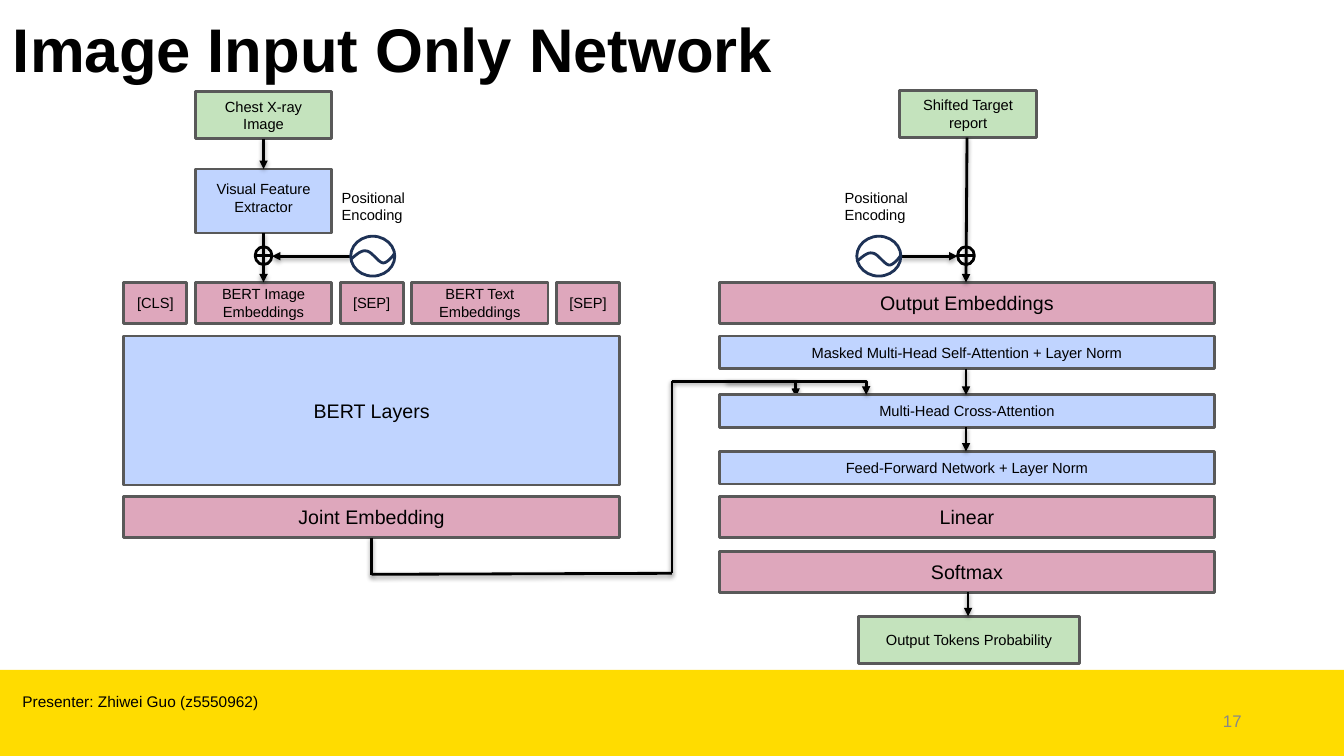
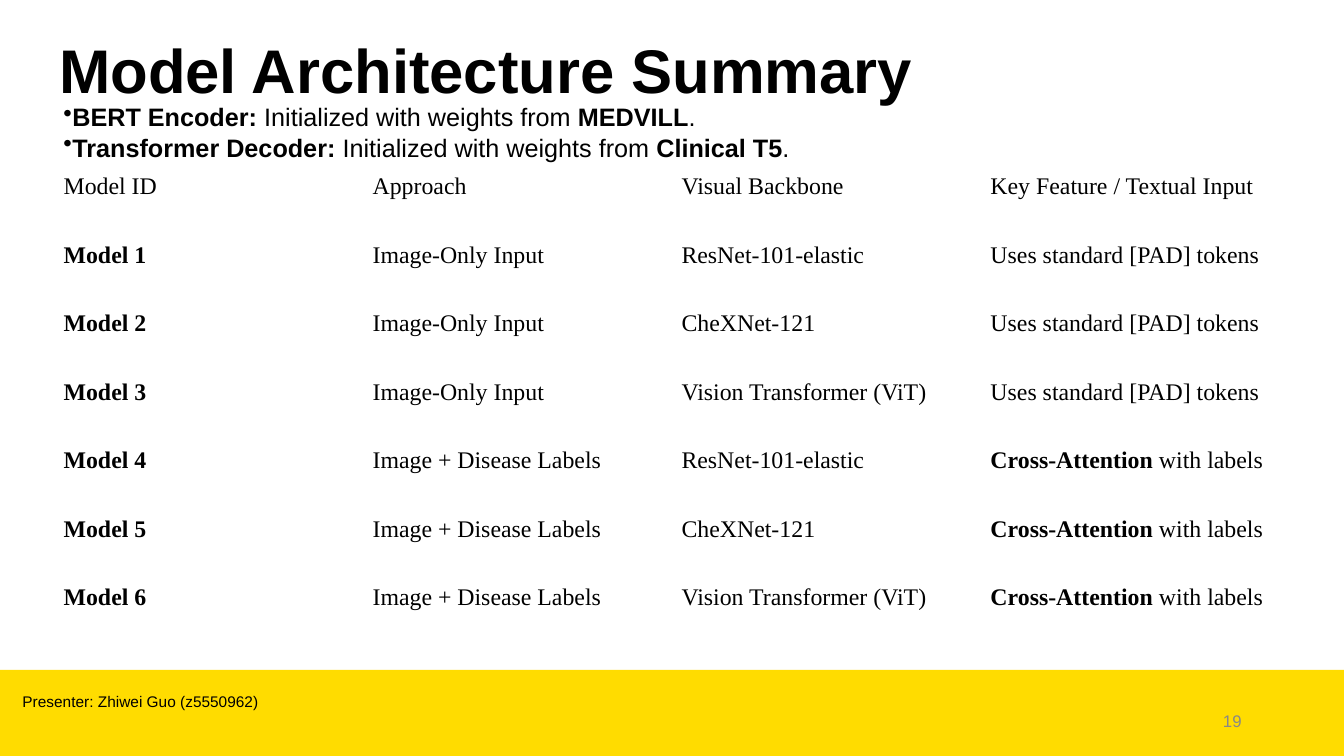
"""Two slides on a report-generation network: its diagram and a model summary table."""
from lxml.etree import SubElement
from pptx import Presentation
from pptx.dml.color import RGBColor
from pptx.enum.shapes import MSO_CONNECTOR as LINK, MSO_SHAPE as SHAPE
from pptx.enum.text import MSO_ANCHOR as ANCHOR, PP_ALIGN as ALIGN
from pptx.oxml.ns import qn
from pptx.util import Inches, Pt

BLACK = RGBColor(0x00, 0x00, 0x00)
GRAY = RGBColor(0x88, 0x88, 0x88)
BORDER = RGBColor(0x59, 0x59, 0x59)
YELLOW = RGBColor(0xFF, 0xDC, 0x00)
GREEN = RGBColor(0xC4, 0xE3, 0xBD)
BLUE = RGBColor(0xC0, 0xD4, 0xFF)
PINK = RGBColor(0xDD, 0xA3, 0xB9)
NAVY = RGBColor(0x1E, 0x32, 0x56)
SMALL, LARGE, TITLE = 10.5, 14, 44

prs = Presentation()
prs.slide_width, prs.slide_height = Inches(13.333), Inches(7.5)
COL, ROW = prs.slide_width / 1280, prs.slide_height / 720


def write(tf, lines, size, align=ALIGN.LEFT, color=BLACK, font="Arial", bullet=None):
    """Fill a text frame; parts between double asterisks are bold."""
    tf.word_wrap = True
    for i, line in enumerate(lines):
        p = tf.add_paragraph() if i else tf.paragraphs[0]
        p.alignment = align
        if bullet:
            p.line_spacing = Pt(22)
            SubElement(p._p.get_or_add_pPr(), qn("a:buChar"), char=bullet)
        p.font.size, p.font.name = Pt(size), font
        p.font.color.rgb = color
        for k, part in enumerate(line.split("**")):
            if part:
                r = p.add_run()
                r.text = part
                if k % 2:
                    r.font.bold = True


def box(slide, x, y, w, h, text="", size=SMALL, fill=None, border=BORDER, **style):
    """Add a filled rectangle, or a plain text box when there is no fill."""
    at = [round(v) for v in (x * COL, y * ROW, w * COL, h * ROW)]
    if fill is None:
        s = slide.shapes.add_textbox(*at)
    else:
        s = slide.shapes.add_shape(SHAPE.RECTANGLE, *at)
        s.shadow.inherit = False
        s.fill.solid()
        s.fill.fore_color.rgb = fill
        if fill == PINK:
            rgb = s._element.spPr.find(".//" + qn("a:srgbClr"))
            SubElement(rgb, qn("a:alpha"), val="95000")
        if border is None:
            s.line.fill.background()
        else:
            s.line.color.rgb, s.line.width = border, Pt(2)
        s.text_frame.vertical_anchor = ANCHOR.MIDDLE
        style = {"align": ALIGN.CENTER, **style}
    if text:
        write(s.text_frame, [text], size, **style)
    return s


slides = []
for number in ("17", "19"):
    slide = prs.slides.add_slide(prs.slide_layouts[6])
    box(slide, 0, 638, 1280, 82, fill=YELLOW, border=None)
    s = box(slide, 904, 667, 288, 38, number, 12, align=ALIGN.RIGHT, color=GRAY)
    s.text_frame.vertical_anchor = ANCHOR.MIDDLE
    box(slide, 12, 654, 769, 28, "Presenter: Zhiwei Guo (z5550962)", 11)
    slides.append(slide)
network, summary = slides

box(network, 0, 6, 749, 81, "**Image Input Only Network**", TITLE, align=ALIGN.CENTER)

LEFT, RIGHT, WIDE, NARROW, TOKEN, GAP = 118, 685, 472, 130, 60, 8
LEFT_AXIS, RIGHT_AXIS, SUM_Y = 251, 920, 244
EMBED_Y, THICK, THIN = 269, 39, 31

links = [
    (640, 363, 758, 378, True),
    (LEFT_AXIS, 132, LEFT_AXIS, 161, True),
    (LEFT_AXIS, 222, LEFT_AXIS, EMBED_Y, True),
    (334, SUM_Y, 259, SUM_Y, True),
    (858, SUM_Y, 912, SUM_Y, True),
    (RIGHT_AXIS + 1, 131, RIGHT_AXIS, EMBED_Y, True),
    (354, 512, 354, 548, False),
    (354, 547, 640, 546, False),
    (640, 363, 640, 546, False),
    (692, 363, 825, 376, True),
    (RIGHT_AXIS, 351, RIGHT_AXIS, 376, True),
    (RIGHT_AXIS, 407, RIGHT_AXIS, 430, True),
    (922, 564, 922, 587, True),
]
blocks = [
    (186, 87, NARROW, 45, "Chest X-ray Image", SMALL, GREEN),
    (857, 86, NARROW, 45, "Shifted Target report", SMALL, GREEN),
    (LEFT, 320, WIDE, 142, "BERT Layers", LARGE, BLUE),
    (LEFT, 473, WIDE, THICK, "Joint Embedding", LARGE, PINK),
    (RIGHT, EMBED_Y, WIDE, THICK, "Output Embeddings", LARGE, PINK),
    (RIGHT, 320, WIDE, THIN, "Masked Multi-Head Self-Attention + Layer Norm", SMALL, BLUE),
    (RIGHT, 376, WIDE, THIN, "Multi‑Head Cross‑Attention", SMALL, BLUE),
    (RIGHT, 430, WIDE, THIN, "Feed‑Forward Network + Layer Norm", SMALL, BLUE),
    (RIGHT, 473, WIDE, THICK, "Linear", LARGE, PINK),
    (RIGHT, 525, WIDE, THICK, "Softmax", LARGE, PINK),
    (818, 587, 210, 45, "Output Tokens Probability", SMALL, GREEN),
]
x = LEFT
for text, w in (("[CLS]", TOKEN), ("BERT Image Embeddings", NARROW), ("[SEP]", TOKEN),
                ("BERT Text Embeddings", NARROW), ("[SEP]", TOKEN)):
    blocks.append((x, EMBED_Y, w, THICK, text, SMALL, PINK))
    x += w + GAP

for i, (x1, y1, x2, y2, arrow) in enumerate(links):
    if i == 1:
        for block in blocks:
            box(network, *block)
        s = box(network, 186, 161, NARROW, 61, "Visual Feature Extractor", SMALL, BLUE)
        s.text_frame.margin_bottom = Inches(0.12)
    elbow = arrow and x1 != x2 and y2 - y1 in (13, 15)
    c = network.shapes.add_connector(
        LINK.ELBOW if elbow else LINK.STRAIGHT,
        round(x1 * COL), round(y1 * ROW), round(x2 * COL), round(y2 * ROW))
    c.line.color.rgb, c.line.width = BLACK, Pt(2)
    if elbow:
        geom = c._element.spPr.find(qn("a:prstGeom"))
        SubElement(geom.find(qn("a:avLst")), qn("a:gd"), name="adj1", fmla="val 99900")
    if arrow:
        SubElement(c.line._get_or_add_ln(), qn("a:tailEnd"), type="triangle")

WAVE = [((0, 8), (5, 4), (10, -1), (14.5, 0)),
        ((14.5, 0), (20, 0), (26, 11), (31, 11.5)),
        ((31, 11.5), (35, 11.5), (41, 4), (42, 2))]
STEPS = 10
for x, label_x, sum_x, wave_y in ((334, 316, 243, 239), (816, 795, 912, 241)):
    points = []
    for a, b, c, d in WAVE:
        for k in range(STEPS + 1):
            t = k / STEPS
            u = 1 - t
            px, py = (u**3 * a[n] + 3 * u * u * t * b[n] + 3 * u * t * t * c[n] + t**3 * d[n]
                      for n in (0, 1))
            points.append((round((x + px) * COL), round((wave_y + py) * ROW)))
    path = network.shapes.build_freeform(*points[0])
    path.add_line_segments(points[1:], close=False)
    wave = path.convert_to_shape()
    circle = network.shapes.add_shape(
        SHAPE.OVAL, round(x * COL), round(225 * ROW), round(42 * COL), round(38 * ROW))
    plus = network.shapes.add_shape(
        SHAPE.FLOWCHART_OR, round(sum_x * COL), round(235 * ROW), round(16 * COL), round(17 * ROW))
    for s, color in ((wave, NAVY), (circle, NAVY), (plus, BLACK)):
        s.shadow.inherit = False
        s.fill.background()
        s.line.color.rgb, s.line.width = color, Pt(2)
    box(network, label_x, 175, 117, 43, "Positional Encoding")

rows = [("Model ID", "Approach", "Visual Backbone", "Key Feature / Textual Input")]
backbones = ("ResNet-101-elastic", "CheXNet-121", "Vision Transformer (ViT)")
for approach, feature in (("Image-Only Input", "Uses standard [PAD] tokens"),
                          ("Image + Disease Labels", "**Cross-Attention** with labels")):
    for backbone in backbones:
        rows.append((f"**Model {len(rows)}**", approach, backbone, feature))

table = summary.shapes.add_table(
    len(rows), len(rows[0]), round(51 * COL), round(145 * ROW),
    round(1177 * COL), round(457 * ROW)).table
table.first_row = table.horz_banding = False
for i, row in enumerate(rows):
    for j, text in enumerate(row):
        cell = table.cell(i, j)
        cell.fill.background()
        cell.vertical_anchor = ANCHOR.MIDDLE
        write(cell.text_frame, [text], 17, font="Times New Roman")

s = box(summary, 51, 91, 1177, 64)
write(s.text_frame, ["**BERT Encoder: **Initialized with weights from **MEDVILL**.",
                     "**Transformer Decoder:** Initialized with weights from **Clinical T5**."],
      18, bullet="•")
box(summary, 47, 26, 985, 81, "**Model Architecture Summary**", TITLE)

prs.save("out.pptx")
